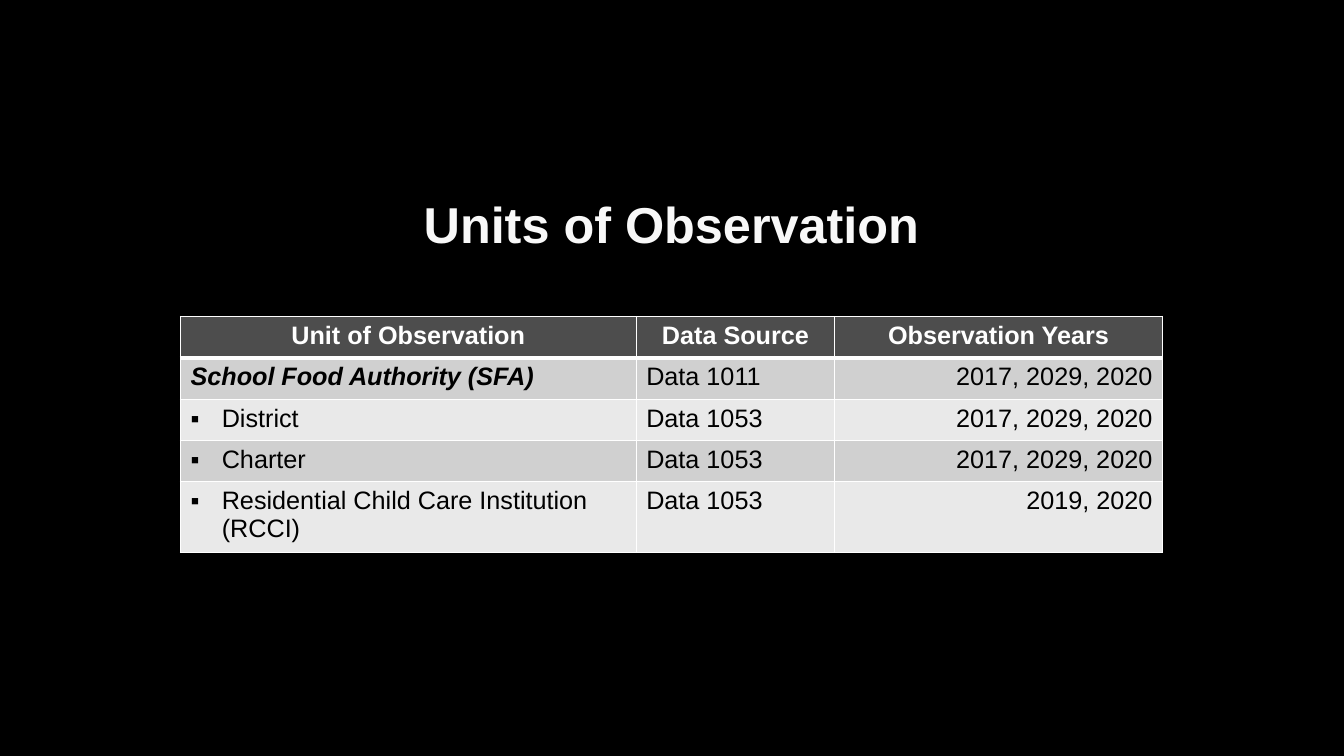
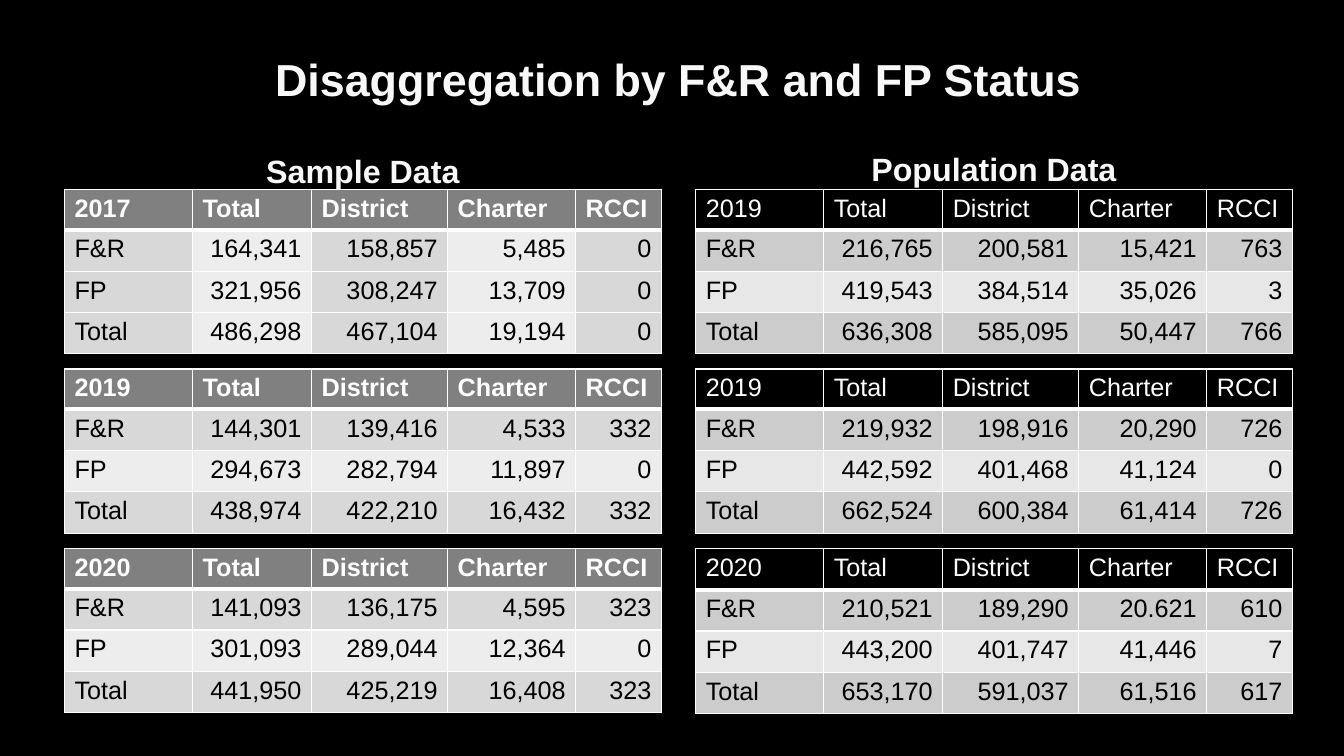
from dataclasses import dataclass
from itertools import product

from lxml.etree import SubElement
from pptx import Presentation
from pptx.dml.color import RGBColor
from pptx.enum.text import MSO_ANCHOR, PP_ALIGN
from pptx.oxml.ns import qn
from pptx.util import Inches, Pt

FONT = "Arial"
COLORS = {
    "background": "000000",
    "title": "F8F8F8",
    "border": "FFFFFF",
    "head_text": "FFFFFF",
    "body_text": "000000",
    "units_head": "4D4D4D",
    "units_dark": "D0D0D0",
    "units_light": "E9E9E9",
    "sample_head": "808080",
    "sample_dark": "D8D8D8",
    "sample_light": "EDEDED",
    "population_head": "000000",
    "population_dark": "CCCCCC",
    "population_light": "E7E7E7",
}


@dataclass
class TableStyle:
    palette: str
    head_bold: bool = True
    head_align: PP_ALIGN = PP_ALIGN.LEFT
    right_from: int = 1


UNITS = TableStyle("units", head_align=PP_ALIGN.CENTER, right_from=2)
SAMPLE = TableStyle("sample")
POPULATION = TableStyle("population", head_bold=False)

UNIT_ROWS = [
    ("Unit of Observation", "Data Source", "Observation Years"),
    ("School Food Authority (SFA)", "Data 1011", "2017, 2029, 2020"),
    ("District", "Data 1053", "2017, 2029, 2020"),
    ("Charter", "Data 1053", "2017, 2029, 2020"),
    ("Residential Child Care Institution (RCCI)", "Data 1053", "2019, 2020"),
]
STATUS_HEAD = ("Total", "District", "Charter", "RCCI")
STATUS_LABELS = ("F&R", "FP", "Total")
SAMPLE_DATA = [
    ("2017", [("164,341", "158,857", "5,485", "0"),
              ("321,956", "308,247", "13,709", "0"),
              ("486,298", "467,104", "19,194", "0")]),
    ("2019", [("144,301", "139,416", "4,533", "332"),
              ("294,673", "282,794", "11,897", "0"),
              ("438,974", "422,210", "16,432", "332")]),
    ("2020", [("141,093", "136,175", "4,595", "323"),
              ("301,093", "289,044", "12,364", "0"),
              ("441,950", "425,219", "16,408", "323")]),
]
POPULATION_DATA = [
    ("2019", [("216,765", "200,581", "15,421", "763"),
              ("419,543", "384,514", "35,026", "3"),
              ("636,308", "585,095", "50,447", "766")]),
    ("2019", [("219,932", "198,916", "20,290", "726"),
              ("442,592", "401,468", "41,124", "0"),
              ("662,524", "600,384", "61,414", "726")]),
    ("2020", [("210,521", "189,290", "20.621", "610"),
              ("443,200", "401,747", "41,446", "7"),
              ("653,170", "591,037", "61,516", "617")]),
]


def rgb(name):
    return RGBColor.from_string(COLORS[name])


def add_slide(prs):
    s = prs.slides.add_slide(prs.slide_layouts[6])
    s.background.fill.solid()
    s.background.fill.fore_color.rgb = rgb("background")
    return s


def add_run(p, text, size, color, bold=False):
    r = p.add_run()
    r.text = text
    r.font.name = FONT
    r.font.size = Pt(size)
    r.font.bold = bold
    r.font.color.rgb = rgb(color)


def add_text(s, box, text, size, anchor, spacing):
    tf = s.shapes.add_textbox(*map(Inches, box)).text_frame
    tf.word_wrap = True
    tf.vertical_anchor = anchor
    p = tf.paragraphs[0]
    p.alignment = PP_ALIGN.CENTER
    p.line_spacing = spacing
    add_run(p, text, size, "title", bold=True)
    return p


def add_title(s, box, text, size):
    add_text(s, box, text, size, MSO_ANCHOR.MIDDLE, 0.9)


def add_caption(s, box, text):
    p = add_text(s, box, text, 23, MSO_ANCHOR.TOP, 1.1)
    p.space_before = Pt(4.6)
    p.space_after = Pt(6)


def set_borders(cell, row):
    top, bottom = (3 if row == 1 else 1), (3 if row == 0 else 1)
    tcPr = cell._tc.get_or_add_tcPr()
    for side, width in zip("LRTB", (1, 1, top, bottom)):
        ln = SubElement(tcPr, qn(f"a:ln{side}"), w=str(Pt(width)))
        fill = SubElement(ln, qn("a:solidFill"))
        SubElement(fill, qn("a:srgbClr"), val=COLORS["border"])


def set_bullet(p):
    pPr = p._p.get_or_add_pPr()
    pPr.set("marL", str(Inches(0.31)))
    pPr.set("indent", str(-Inches(0.31)))
    SubElement(pPr, qn("a:buFont"), typeface=FONT)
    SubElement(pPr, qn("a:buChar"), char="▪")


def fill_cell(cell, text, row, col, style, by_column):
    p = cell.text_frame.paragraphs[0]
    if row == 0:
        shade = "head"
        p.alignment = style.head_align
        add_run(p, text, 18, "head_text", style.head_bold)
    else:
        dark = col % 2 == 0 if by_column else row % 2 == 1
        shade = "dark" if dark else "light"
        p.alignment = PP_ALIGN.RIGHT if col >= style.right_from else PP_ALIGN.LEFT
        add_run(p, text, 18, "body_text")
    set_borders(cell, row)
    cell.fill.solid()
    cell.fill.fore_color.rgb = rgb(f"{style.palette}_{shade}")


def add_table(s, left, top, widths, heights, rows, style, by_column=False):
    size = map(Inches, (left, top, sum(widths), sum(heights)))
    table = s.shapes.add_table(len(rows), len(widths), *size).table
    for column, width in zip(table.columns, widths):
        column.width = Inches(width)
    for row, height in zip(table.rows, heights):
        row.height = Inches(height)
    for row, col in product(range(len(rows)), range(len(widths))):
        fill_cell(table.cell(row, col), rows[row][col], row, col, style, by_column)
    return table


def add_status_tables(s, left, data, style):
    for i, (year, values) in enumerate(data):
        rows = [(year, *STATUS_HEAD)]
        rows += [(label, *row) for label, row in zip(STATUS_LABELS, values)]
        head_height = 0.41 if style is POPULATION and i == 2 else 0.37
        add_table(s, left, 1.88 + 1.78 * i, [1.27, 1.18, 1.35, 1.27, 0.85],
                  [head_height] + [0.41] * 3, rows, style, by_column=year == "2017")


def build_units(prs):
    s = add_slide(prs)
    add_title(s, (1, 1.8, 11.32, 0.9), "Units of Observation", 36)
    table = add_table(s, 1.79, 3.14, [4.52, 1.97, 3.25],
                      [0.41] * 4 + [0.65], UNIT_ROWS, UNITS)
    first, *members = [table.cell(row, 0).text_frame.paragraphs[0]
                       for row in range(1, len(UNIT_ROWS))]
    first.runs[0].font.bold = True
    first.runs[0].font.italic = True
    for p in members:
        set_bullet(p)


def build_status(prs):
    s = add_slide(prs)
    add_title(s, (0.64, 0.42, 12.18, 0.79), "Disaggregation by F&R and FP Status", 32)
    add_status_tables(s, 0.64, SAMPLE_DATA, SAMPLE)
    add_status_tables(s, 6.9, POPULATION_DATA, POPULATION)
    add_caption(s, (0.64, 1.41, 5.92, 0.55), "Sample Data")
    add_caption(s, (6.9, 1.39, 5.92, 0.55), "Population Data")


def main():
    prs = Presentation()
    prs.slide_width, prs.slide_height = Inches(13.33), Inches(7.5)
    build_units(prs)
    build_status(prs)
    prs.save("out.pptx")


if __name__ == "__main__":
    main()
